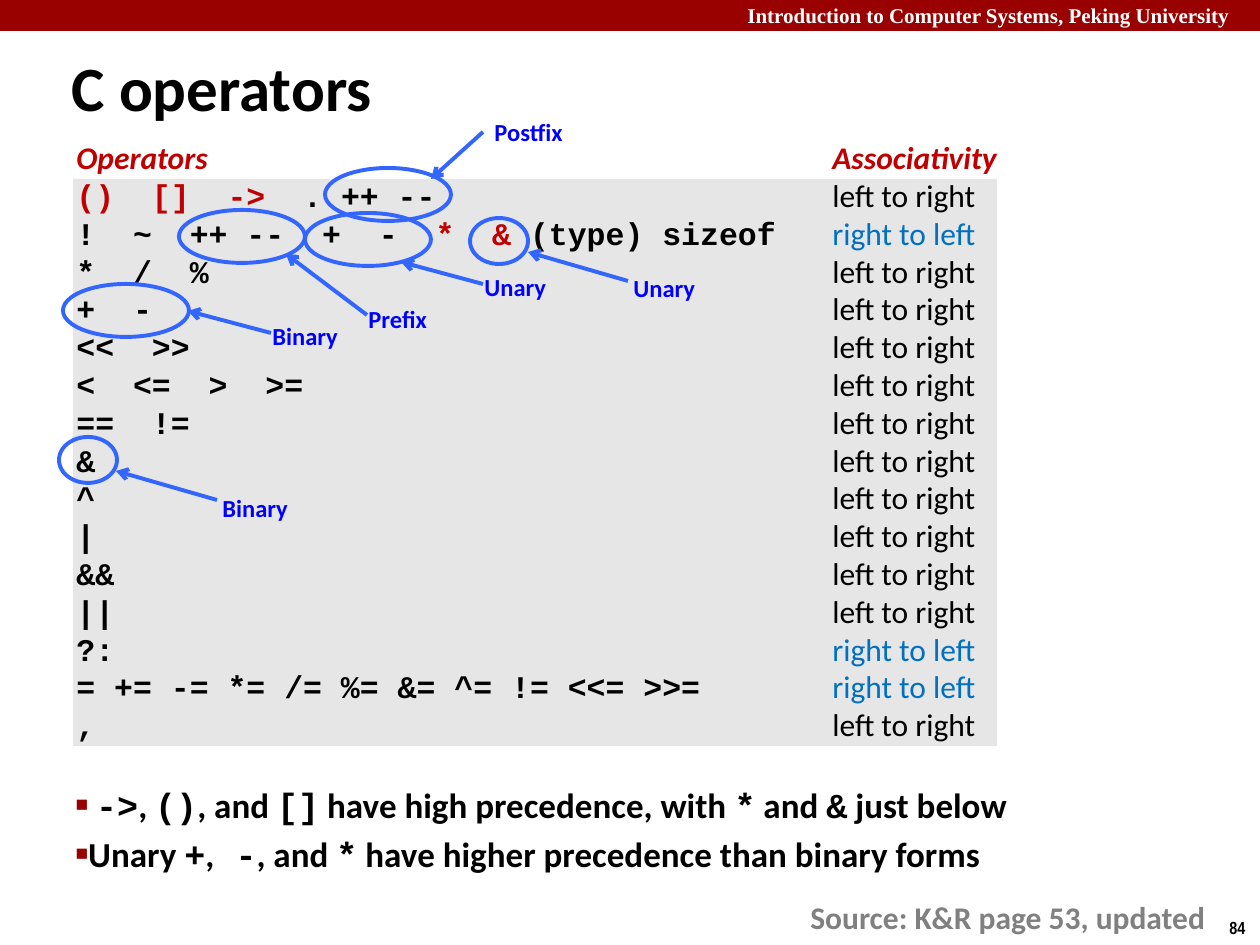
from dataclasses import dataclass

import lxml.etree
import pptx
import pptx.dml.color
import pptx.enum.shapes
import pptx.enum.text
import pptx.oxml.ns
import pptx.util

PX = 914400 / 126
HUES = {
    "bar": "990000", "panel": "E6E6E6", "red": "C00000", "ink": "000000",
    "blue": "0070C0", "mark": "3366FF", "label": "0000FF", "gray": "808080",
    "white": "FFFFFF",
}
SANS, MONO = "Calibri", "Courier New"
LEFT, RIGHT = ("left to right", "ink"), ("right to left", "blue")


@dataclass
class Box:
    x: int
    y: int
    w: int
    h: int


@dataclass
class Row:
    ops: list[tuple[str, str]]
    way: tuple[str, str] = LEFT


@dataclass
class Label:
    text: str
    box: Box


@dataclass
class Arrow:
    x1: int
    y1: int
    x2: int
    y2: int


ROWS = [
    Row([("()  []  ->", "red"), ("  . ++ --", "ink")]),
    Row([("!  ~  ++ --  +  -  ", "ink"), ("*  &", "red"), (" (type) sizeof", "ink")], RIGHT),
    *[Row([(ops, "ink")]) for ops in (
        "*  /  %", "+  -", "<<  >>", "<  <=  >  >=", "==  !=", "&", "^", "|", "&&", "||")],
    Row([("?:", "ink")], RIGHT),
    Row([("= += -= *= /= %= &= ^= != <<= >>=", "ink")], RIGHT),
    Row([(",", "ink")]),
]
NOTES = [
    [(" ", SANS), ("->", MONO), (", ", SANS), ("()", MONO), (", and ", SANS),
     ("[]", MONO), (" have high precedence, with ", SANS), ("*", MONO),
     (" and ", SANS), ("&", MONO), (" just below", SANS)],
    [("Unary ", SANS), ("+", MONO), (",", SANS), (" -", MONO), (", and ", SANS),
     ("*", MONO), (" have higher precedence than binary forms", SANS)],
]
RINGS = [
    Box(325, 168, 126, 53), Box(179, 210, 126, 53), Box(305, 213, 126, 53),
    Box(63, 284, 126, 53), Box(470, 218, 58, 46), Box(59, 437, 58, 46),
]
LABELS = [
    Label("Postfix", Box(482, 111, 96, 43)), Label("Unary", Box(472, 266, 90, 43)),
    Label("Binary", Box(260, 315, 92, 43)), Label("Prefix", Box(356, 298, 86, 43)),
    Label("Unary", Box(621, 267, 103, 43)), Label("Binary", Box(210, 487, 103, 43)),
]
ARROWS = [
    Arrow(483, 132, 431, 179), Arrow(483, 284, 401, 262), Arrow(271, 333, 188, 311),
    Arrow(367, 315, 286, 254), Arrow(628, 281, 528, 252), Arrow(217, 500, 116, 471),
]


def emu(px: float) -> int:
    return round(px * PX)


def rgb(hue: str) -> pptx.dml.color.RGBColor:
    return pptx.dml.color.RGBColor.from_string(HUES[hue])


def span(box: Box) -> list[int]:
    return [emu(n) for n in (box.x, box.y, box.w, box.h)]


def add(node, tag: str, **attrs: str):
    return lxml.etree.SubElement(node, pptx.oxml.ns.qn(tag), attrs)


def style(font, size: int, hue: str, name: str = SANS) -> None:
    font.name, font.size, font.bold = name, pptx.util.Pt(size), True
    font.color.rgb = rgb(hue)


def put(para, text: str, name: str, hue: str, bold: bool = True) -> None:
    run = para.add_run()
    run.text = text
    run.font.name, run.font.bold = name, bold
    run.font.color.rgb = rgb(hue)


def write(slide, text: str, box: Box, size: int, hue: str, name: str = SANS) -> None:
    frame = slide.shapes.add_textbox(*span(box)).text_frame
    frame.word_wrap = False
    para = frame.paragraphs[0]
    para.text = text
    style(para.font, size, hue, name)


def block(slide, box: Box, hue: str) -> None:
    rect = slide.shapes.add_shape(pptx.enum.shapes.MSO_SHAPE.RECTANGLE, *span(box))
    rect.shadow.inherit = False
    rect.fill.solid()
    rect.fill.fore_color.rgb = rgb(hue)
    rect.line.fill.background()


def ring(slide, box: Box) -> None:
    oval = slide.shapes.add_shape(pptx.enum.shapes.MSO_SHAPE.OVAL, *span(box))
    oval.shadow.inherit = False
    oval.fill.background()
    oval.line.color.rgb = rgb("mark")
    oval.line.width = pptx.util.Pt(2.25)


def point(slide, arrow: Arrow) -> None:
    ends = [emu(n) for n in (arrow.x1, arrow.y1, arrow.x2, arrow.y2)]
    line = slide.shapes.add_connector(pptx.enum.shapes.MSO_CONNECTOR.STRAIGHT, *ends)
    line.line.color.rgb = rgb("mark")
    line.line.width = pptx.util.Pt(2.25)
    props = line.element.spPr
    add(props.find(pptx.oxml.ns.qn("a:ln")), "a:tailEnd", type="arrow")
    add(props, "a:effectLst")


def head(slide) -> None:
    title = slide.shapes.title
    title.left, title.top, title.width, title.height = span(Box(59, 47, 701, 79))
    frame = title.text_frame
    frame.auto_size = pptx.enum.text.MSO_AUTO_SIZE.NONE
    frame.vertical_anchor = pptx.enum.text.MSO_ANCHOR.MIDDLE
    para = frame.paragraphs[0]
    para.text = "C operators"
    para.alignment = pptx.enum.text.PP_ALIGN.LEFT
    style(para.font, 36, "ink")


def chart_rows(slide) -> None:
    frame = slide.shapes.add_textbox(*span(Box(64, 132, 954, 624))).text_frame
    frame.word_wrap = True
    for i in range(len(ROWS) + 1):
        para = frame.add_paragraph() if i else frame.paragraphs[0]
        para.line_spacing = pptx.util.Pt(21.6)
        tabs = add(para._p.get_or_add_pPr(), "a:tabLst")
        add(tabs, "a:tab", pos=str(emu(756)), algn="l")
        para.font.size = pptx.util.Pt(18)
        if i == 0:
            para.text = "Operators\tAssociativity"
            style(para.font, 18, "red")
            para.font.italic = True
            continue
        row = ROWS[i - 1]
        for text, hue in row.ops:
            put(para, text, MONO, hue)
        text, hue = row.way
        put(para, "\t" + text, SANS, hue, False)


def notes(slide) -> None:
    body = slide.placeholders[1]
    body.left, body.top, body.width, body.height = span(Box(63, 777, 987, 158))
    frame = body.text_frame
    frame.auto_size = pptx.enum.text.MSO_AUTO_SIZE.NONE
    for i, parts in enumerate(NOTES):
        para = frame.add_paragraph() if i else frame.paragraphs[0]
        para.space_before = pptx.util.Pt(4 if i else 0)
        props = para._p.get_or_add_pPr()
        props.set("marL", str(emu(9)))
        props.set("indent", str(emu(-33)))
        add(add(props, "a:buClr"), "a:srgbClr", val=HUES["bar"])
        add(props, "a:buSzPct", val="60000")
        add(props, "a:buFont", typeface="Arial")
        add(props, "a:buChar", char="■")
        para.font.size = pptx.util.Pt(20)
        for text, name in parts:
            put(para, text, name, "ink")


def main() -> None:
    deck = pptx.Presentation()
    deck.slide_width, deck.slide_height = emu(1260), emu(945)
    slide = deck.slides.add_slide(deck.slide_layouts[1])
    block(slide, Box(0, 0, 1260, 31), "bar")
    write(slide, "Introduction to Computer Systems, Peking University",
          Box(735, -4, 534, 38), 12, "white", "Times New Roman")
    write(slide, "84", Box(1217, 911, 43, 34), 10, "ink", "Arial Narrow")
    block(slide, Box(73, 179, 924, 567), "panel")
    head(slide)
    chart_rows(slide)
    notes(slide)
    write(slide, "Source: K&R page 53, updated", Box(798, 892, 426, 50), 18, "gray")
    for box in RINGS:
        ring(slide, box)
    for arrow in ARROWS:
        point(slide, arrow)
    for label in LABELS:
        write(slide, label.text, label.box, 14, "label")
    deck.save("out.pptx")


if __name__ == "__main__":
    main()
